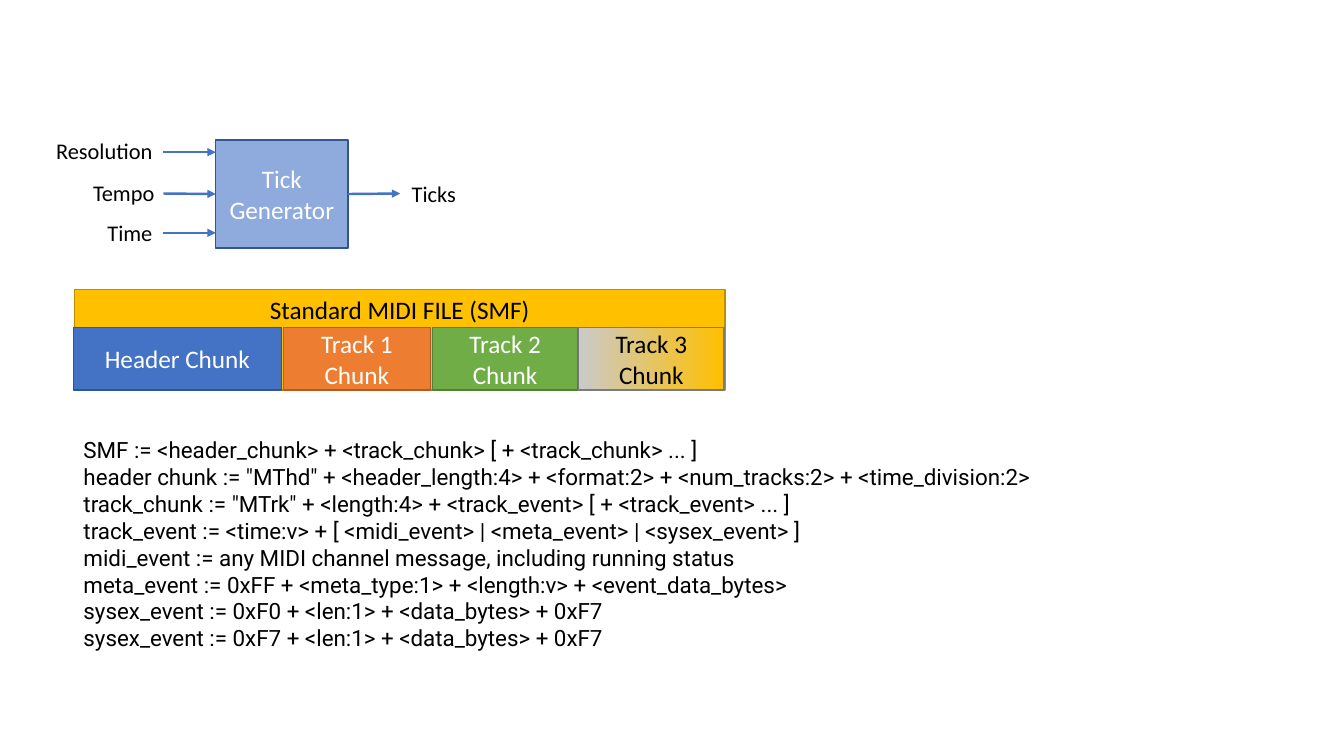
from pptx import Presentation
from pptx.dml.color import RGBColor
from pptx.enum.shapes import MSO_CONNECTOR, MSO_SHAPE
from pptx.enum.text import MSO_ANCHOR, PP_ALIGN
from pptx.oxml.ns import qn
from pptx.util import Inches, Pt
from lxml import etree

RECTANGLE = MSO_SHAPE.RECTANGLE
STRAIGHT = MSO_CONNECTOR.STRAIGHT
TOP, MIDDLE = MSO_ANCHOR.TOP, MSO_ANCHOR.MIDDLE
LEFT, CENTER, RIGHT = PP_ALIGN.LEFT, PP_ALIGN.CENTER, PP_ALIGN.RIGHT
BLACK, WHITE, BLUE, NAVY = "000000", "FFFFFF", "4472C4", "325491"


def paint(color_owner, hex_color):
    color_owner.rgb = RGBColor.from_string(hex_color)


def add_text(shapes, place, lines, size, color, align, anchor=TOP,
             font="Calibri", wrap=True, fill=None, outline=None):
    bounds = [Inches(length) for length in place]
    if outline:
        holder = shapes.add_shape(RECTANGLE, *bounds)
        holder.shadow.inherit = False
        holder.fill.solid()
        paint(holder.fill.fore_color, fill)
        paint(holder.line.color, outline)
        holder.line.width = Pt(1)
    else:
        holder = shapes.add_textbox(*bounds)
    frame = holder.text_frame
    frame.word_wrap = wrap
    frame.vertical_anchor = anchor
    frame.text = "\n".join(lines)
    for paragraph in frame.paragraphs:
        paragraph.alignment = align
        paragraph.font.size = Pt(size)
        paragraph.font.name = font
        paint(paragraph.font.color, color)
    return holder


presentation = Presentation()
presentation.slide_width = Inches(13.33)
presentation.slide_height = Inches(7.5)
slide = presentation.slides.add_slide(presentation.slide_layouts[6])

generator = add_text(slide.shapes, (2.14, 1.39, 1.31, 1.07), ["Tick Generator"],
                     18, WHITE, CENTER, MIDDLE, fill="8FAADC", outline=NAVY)

arrow_length = 0.52
arrows = {}
for signal, x, y in [("Resolution", 1.62, 1.51), ("Time", 1.62, 2.31),
                     ("Tempo", 1.62, 1.92), ("Ticks", 3.45, 1.92)]:
    arrow = slide.shapes.add_connector(STRAIGHT, Inches(x), Inches(y),
                                       Inches(x + arrow_length), Inches(y))
    paint(arrow.line.color, BLUE)
    arrow.line.width = Pt(1.75)
    etree.SubElement(arrow.line._get_or_add_ln(), qn("a:tailEnd"), type="triangle")
    etree.SubElement(arrow._element.spPr, qn("a:effectLst"))
    arrows[signal] = arrow
arrows["Tempo"].end_connect(generator, 1)
arrows["Ticks"].begin_connect(generator, 3)

for signal, x, y, width in [("Resolution", 0.44, 1.31, 1.17), ("Tempo", 0.81, 1.73, 0.82),
                            ("Time", 0.96, 2.12, 0.65), ("Ticks", 3.98, 1.74, 0.64)]:
    add_text(slide.shapes, (x, y, width, 0.37), [signal], 16, BLACK, RIGHT, wrap=False)

midi_file = slide.shapes.add_group_shape()
add_text(midi_file.shapes, (0.74, 2.87, 6.45, 1), ["Standard MIDI FILE (SMF)"],
         18, BLACK, CENTER, fill="FFC000", outline="BD8E00")

chunks = [
    ("Header Chunk", 0.73, 2.06, BLUE, NAVY, WHITE),
    ("Track 1 Chunk", 2.81, 1.46, "ED7D31", "AF5C24", WHITE),
    ("Track 2 Chunk", 4.29, 1.44, "70AD47", "538035", WHITE),
    ("Track 3 Chunk", 5.74, 1.44, "FFC000", "7A7A7A", BLACK),
]
for title, x, width, fill, outline, color in chunks:
    chunk = add_text(midi_file.shapes, (x, 3.25, width, 0.62), [title],
                     18, color, CENTER, MIDDLE, fill=fill, outline=outline)

chunk.fill.gradient()
chunk.fill.gradient_angle = 0
for stop, position, color in zip(chunk.fill.gradient_stops, (0, 1), ("CACACA", "FFC000")):
    stop.position = position
    paint(stop.color, color)

grammar = [
    "SMF := <header_chunk> + <track_chunk> [ + <track_chunk> ... ]",
    'header chunk := "MThd" + <header_length:4> + <format:2> + <num_tracks:2> + <time_division:2>',
    'track_chunk := "MTrk" + <length:4> + <track_event> [ + <track_event> ... ]',
    "track_event := <time:v> + [ <midi_event> | <meta_event> | <sysex_event> ]",
    "midi_event := any MIDI channel message, including running status",
    "meta_event := 0xFF + <meta_type:1> + <length:v> + <event_data_bytes>",
    "sysex_event := 0xF0 + <len:1> + <data_bytes> + 0xF7",
    "sysex_event := 0xF7 + <len:1> + <data_bytes> + 0xF7",
]
add_text(slide.shapes, (0.73, 4.28, 10.4, 2.79), grammar, 16, BLACK, LEFT, font="Roboto")

presentation.save("out.pptx")
